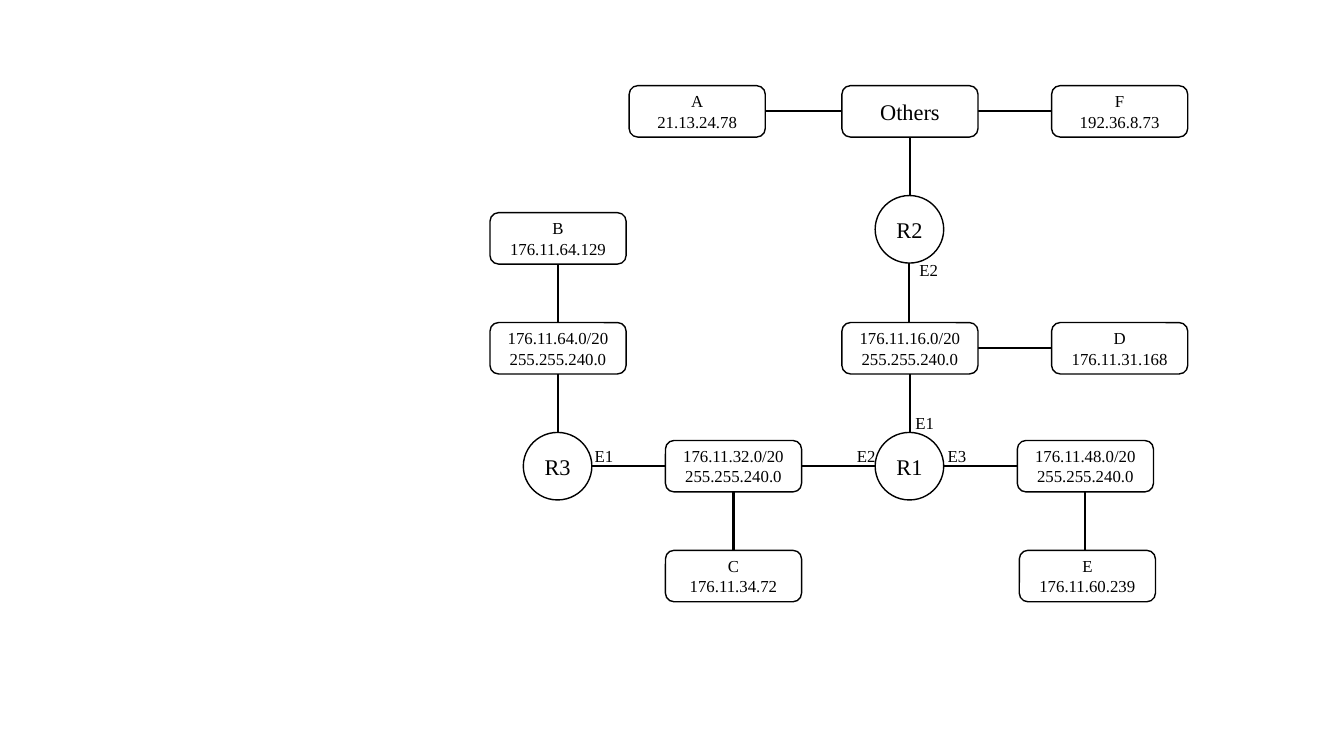
import pptx
import pptx.util
import pptx.dml.color
import pptx.enum.shapes
import pptx.enum.text
import pptx.oxml.ns
import lxml.etree

Inches = pptx.util.Inches
SHAPE = pptx.enum.shapes.MSO_SHAPE
ALIGN = pptx.enum.text.PP_ALIGN
ANCHOR = pptx.enum.text.MSO_ANCHOR


def rgb(value):
    return pptx.dml.color.RGBColor.from_string(value)


def write(sp, lines, size, align):
    """Fill a shape with one paragraph per line."""
    tf = sp.text_frame
    for i, line in enumerate(lines):
        p = tf.paragraphs[0] if i == 0 else tf.add_paragraph()
        p.alignment = align
        r = p.add_run()
        r.text = line
        font = {"name": "Times New Roman", "size": pptx.util.Pt(size)}
        for key, value in font.items():
            setattr(r.font, key, value)
        r.font.color.rgb = rgb("000000")
    return tf


prs = pptx.Presentation()
prs.slide_width, prs.slide_height = Inches(13.33), Inches(7.5)
s = prs.slides.add_slide(prs.slide_layouts[6])

# Node sizes: networks and hosts are boxes, routers are circles
BOX = (SHAPE.ROUNDED_RECTANGLE, 1.35, 0.51)
ROUTER = (SHAPE.OVAL, 0.68, 0.67)
MASK = "255.255.240.0"

# name: (kind, left, top, font size, lines)
nodes = {
    "A": (BOX, 6.24, 0.85, 12, ["A", "21.13.24.78"]),
    "Others": (BOX, 8.35, 0.85, 16, ["Others"]),
    "F": (BOX, 10.43, 0.85, 12, ["F", "192.36.8.73"]),
    "R2": (ROUTER, 8.68, 1.94, 16, ["R2"]),
    "B": (BOX, 4.86, 2.11, 12, ["B", "176.11.64.129"]),
    "net64": (BOX, 4.86, 3.2, 12, ["176.11.64.0/20", MASK]),
    "net16": (BOX, 8.35, 3.2, 12, ["176.11.16.0/20", MASK]),
    "D": (BOX, 10.43, 3.2, 12, ["D", "176.11.31.168"]),
    "R3": (ROUTER, 5.19, 4.29, 16, ["R3"]),
    "net32": (BOX, 6.6, 4.37, 12, ["176.11.32.0/20", MASK]),
    "R1": (ROUTER, 8.68, 4.29, 16, ["R1"]),
    "net48": (BOX, 10.09, 4.37, 12, ["176.11.48.0/20", MASK]),
    "C": (BOX, 6.6, 5.46, 12, ["C", "176.11.34.72"]),
    "E": (BOX, 10.11, 5.46, 12, ["E", "176.11.60.239"]),
}

# Links run edge to edge, left to right or top to bottom
across = [("A", "Others"), ("Others", "F"), ("net16", "D"),
          ("R3", "net32"), ("net32", "R1"), ("R1", "net48")]
down = [("Others", "R2"), ("R2", "net16"), ("net16", "R1"), ("B", "net64"),
        ("net64", "R3"), ("net32", "C"), ("net48", "E")]
for start, end in across + down:
    (shape, width, height), left, top = nodes[start][:3]
    if (start, end) in across:
        y = top + height / 2
        ends = (left + width, y, nodes[end][1], y)
    else:
        x = left + width / 2
        ends = (x, top + height, x, nodes[end][2])
    link = s.shapes.add_connector(pptx.enum.shapes.MSO_CONNECTOR.STRAIGHT,
                                  *[Inches(v) for v in ends])
    link.line.color.rgb = rgb("000000")
    link.line.width = pptx.util.Pt(1.5)
    lxml.etree.SubElement(link._element.spPr, pptx.oxml.ns.qn("a:effectLst"))

# Networks, hosts and routers
for (shape, width, height), left, top, size, lines in nodes.values():
    sp = s.shapes.add_shape(shape, Inches(left), Inches(top),
                            Inches(width), Inches(height))
    sp.shadow.inherit = False
    sp.fill.solid()
    sp.fill.fore_color.rgb = rgb("FFFFFF")
    sp.line.color.rgb = rgb("000000")
    sp.line.width = pptx.util.Pt(1)
    tf = write(sp, lines, size, ALIGN.CENTER)
    tf.vertical_anchor = ANCHOR.MIDDLE

# Router interface labels
labels = [("E2", 9.02, 2.53), ("E1", 8.98, 4.05), ("E2", 8.4, 4.37),
          ("E3", 9.3, 4.37), ("E1", 5.8, 4.37)]
for text, left, top in labels:
    sp = s.shapes.add_textbox(Inches(left), Inches(top), Inches(0.41), Inches(0.31))
    tf = write(sp, [text], 12, ALIGN.LEFT)
    tf.word_wrap = False
    tf.auto_size = pptx.enum.text.MSO_AUTO_SIZE.SHAPE_TO_FIT_TEXT

prs.save("out.pptx")
